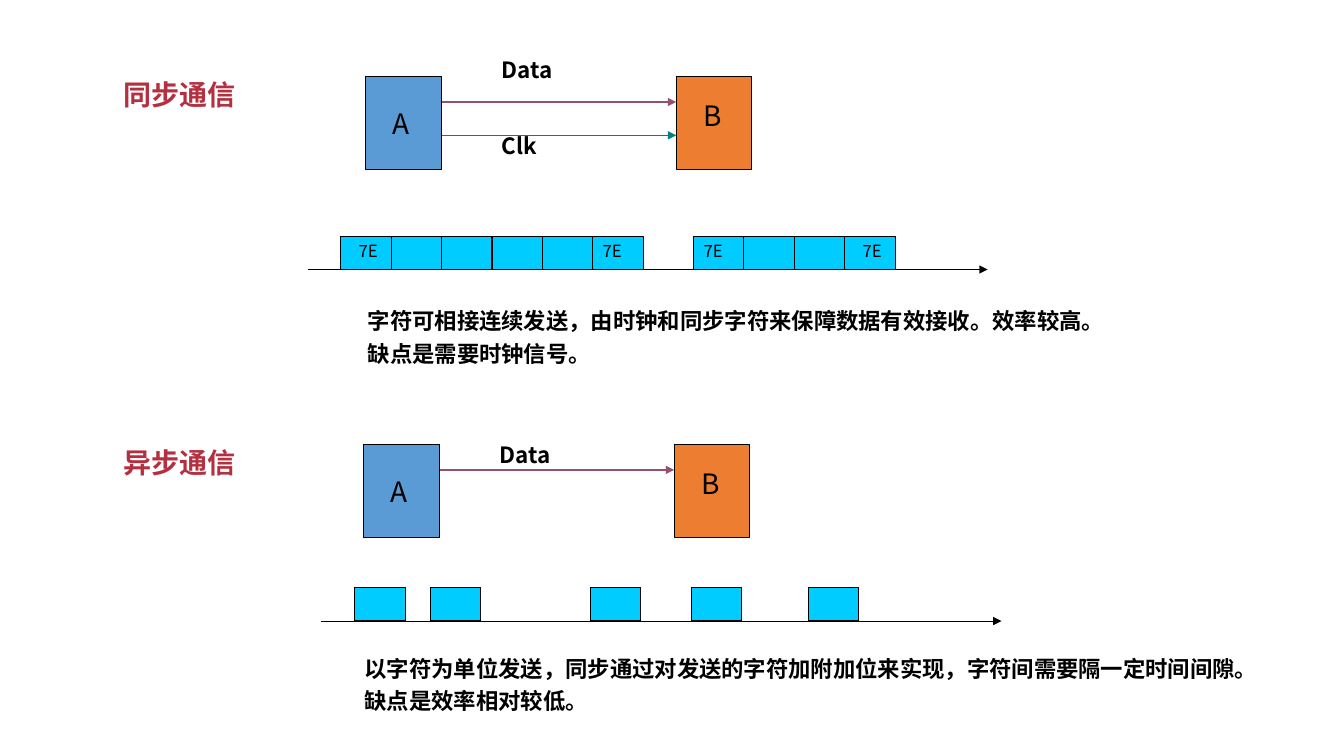
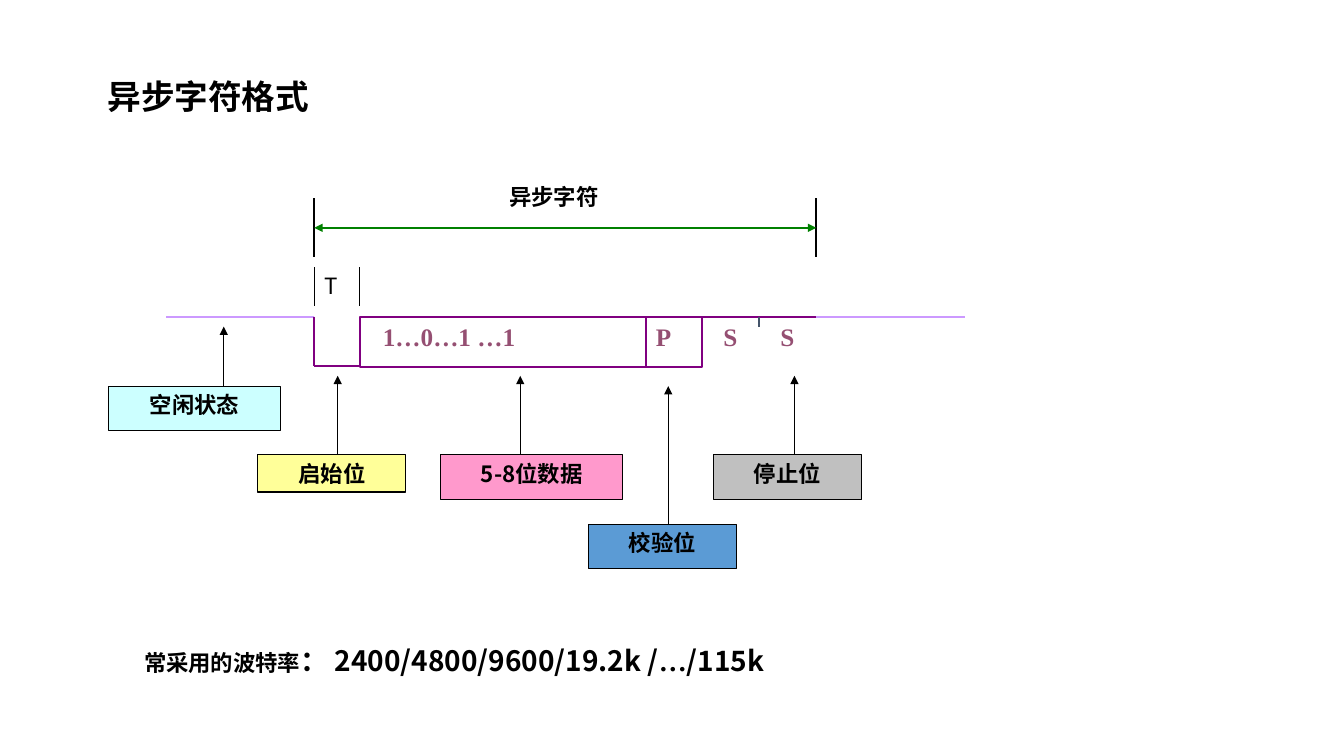
"""Builds two slides on synchronous and asynchronous communication."""
from lxml import etree
from pptx import Presentation, util as u
from pptx.dml.color import RGBColor
from pptx.enum import shapes, text
from pptx.oxml import ns

SANS = "Noto Sans CJK SC"
SERIF = "Times New Roman"
BLACK = RGBColor(0x00, 0x00, 0x00)
RED = RGBColor(0xB4, 0x30, 0x40)
BLUE = RGBColor(0x5B, 0x9B, 0xD5)
ORANGE = RGBColor(0xED, 0x7D, 0x31)
PLUM = RGBColor(0x95, 0x4F, 0x72)
TEAL = RGBColor(0x00, 0x80, 0x80)
CYAN = RGBColor(0x00, 0xCC, 0xFF)
LILAC = RGBColor(0xCC, 0x99, 0xFF)
PURPLE = RGBColor(0x80, 0x00, 0x80)
SLATE = RGBColor(0x44, 0x54, 0x6A)
GREEN = RGBColor(0x00, 0x80, 0x00)
YELLOW = RGBColor(0xFF, 0xFF, 0x99)
ICE = RGBColor(0xCC, 0xFF, 0xFF)
PINK = RGBColor(0xFF, 0x99, 0xCC)
GREY = RGBColor(0xC0, 0xC0, 0xC0)
CENTER = text.PP_ALIGN.CENTER
LEFT = text.PP_ALIGN.LEFT


def write(para, words, size=16, bold=True, color=BLACK, font=SANS):
    run = para.add_run()
    run.text = words
    run.font.size = u.Pt(size)
    run.font.bold = bold
    run.font.color.rgb = color
    run.font.name = font
    props = run.font._element
    etree.SubElement(props, ns.qn("a:ea")).set("typeface", font)


class Deck:
    def __init__(self):
        self.prs = Presentation()
        self.prs.slide_width = u.Cm(33.87)
        self.prs.slide_height = u.Cm(19.05)
        self.slide = None

    def page(self):
        self.slide = self.prs.slides.add_slide(self.prs.slide_layouts[6])

    def fill(self, frame, words, align=LEFT, inset=0.25, **form):
        frame.word_wrap = True
        frame.vertical_anchor = text.MSO_ANCHOR.TOP
        frame.margin_left = u.Cm(inset)
        for i, part in enumerate(words.split("\n")):
            para = frame.add_paragraph() if i else frame.paragraphs[0]
            para.alignment = align
            if i:
                para.space_before = u.Pt(4)
            write(para, part, **form)

    def label(self, words, x, y, w, h=1.1, **form):
        box = self.slide.shapes.add_textbox(u.Cm(x), u.Cm(y), u.Cm(w), u.Cm(h))
        self.fill(box.text_frame, words, **form)
        return box.text_frame.paragraphs[0]

    def box(self, x, y, w, h, paint=None, edge=BLACK, width=0.75,
            words="", **form):
        box = self.slide.shapes.add_shape(
            shapes.MSO_SHAPE.RECTANGLE, u.Cm(x), u.Cm(y), u.Cm(w), u.Cm(h))
        box.shadow.inherit = False
        if paint is None:
            box.fill.background()
        else:
            box.fill.solid()
            box.fill.fore_color.rgb = paint
        box.line.color.rgb = edge
        box.line.width = u.Pt(width)
        if words:
            self.fill(box.text_frame, words, **form)

    def line(self, x1, y1, x2, y2, color=BLACK, width=0.75, ends=()):
        line = self.slide.shapes.add_connector(
            shapes.MSO_CONNECTOR.STRAIGHT,
            u.Cm(x1), u.Cm(y1), u.Cm(x2), u.Cm(y2))
        line.line.color.rgb = color
        line.line.width = u.Pt(width)
        stroke = line.line._get_or_add_ln()
        for end in ends:
            etree.SubElement(stroke, ns.qn(f"a:{end}")).set("type", "triangle")
        etree.SubElement(stroke.getparent(), ns.qn("a:effectLst"))

    def arrow(self, *ends, **form):
        self.line(*ends, ends=("tailEnd",), **form)

    def link(self, title, x, y, wires):
        self.label(title, 2.87, y - 0.1, 3.6, size=20, color=RED)
        w, h, gap = 1.91, 2.34, 7.82
        nodes = [("A", 0, 0.64, BLUE), ("B", gap, 0.43, ORANGE)]
        for name, dx, dy, color in nodes:
            self.box(x + dx, y, w, h, color)
            self.label(name, x + dx + 0.43, y + dy, 1.27, size=20, bold=False)
        for name, dy, top, color, width in wires:
            self.arrow(x + w, y + dy, x + gap, y + dy, color=color, width=width)
            self.label(name, x + 3.18, y + top, 2.54)

    def stream(self, x, y, cells):
        w, h = 1.27, 0.84
        for cell in cells:
            self.box(cell, y, w, h, CYAN)
        self.arrow(x, y + h, x + 17.14, y + h)


def modes(deck):
    deck.page()
    deck.link("同步通信", 9.22, 1.93, [
        ("Data", 0.64, -0.64, PLUM, 1.5), ("Clk", 1.48, 1.28, TEAL, 1)])
    deck.stream(7.75, 5.95, [8.59 + 1.27 * i for i in range(11) if i != 6])
    for x in (8.79, 14.94, 17.48, 21.49):
        deck.label("7E", x, 5.95, 1.27, 0.76, size=12, bold=False)
    deck.label("字符可相接连续发送，由时钟和同步字符来保障数据有效接收。效率较高。\n"
               "缺点是需要时钟信号。", 9.02, 7.62, 20, 1.96)
    deck.link("异步通信", 9.17, 11.2, [("Data", 0.64, -0.2, PLUM, 1.5)])
    deck.stream(8.1, 14.81, [8.94, 10.85, 14.88, 17.42, 20.37])
    deck.label("以字符为单位发送，同步通过对发送的字符加附加位来实现，字符间需要隔一定时间间隙。\n"
               "缺点是效率相对较低。", 8.94, 16.38, 24.05, 1.96)


def frame(deck):
    deck.page()
    deck.label("异步字符格式", 2.46, 1.78, 5.92, 1.27, size=24)
    high, low = 7.98, 9.23
    start, data, check, stop, end = 7.92, 9.07, 16.28, 17.7, 20.57
    mid = (stop + end) / 2
    for x1, y1, x2, y2, color in [
            (4.19, high, start, high, LILAC),
            (start, high, start, low, PURPLE),
            (start, low, data, low, PURPLE),
            (stop, high, end, high, PURPLE),
            (mid, high, mid, high + 0.25, SLATE),
            (end, high, 24.33, high, LILAC)]:
        deck.line(x1, y1, x2, y2, color, 1.5)
    bits = dict(size=18, color=PLUM, font=SERIF)
    for words, x, right, inset in [
            ("1…0…1 …1", data, check, 0.58), ("P", check, stop, 0.25)]:
        deck.box(x, high, right - x, low - high + 0.02, None, PURPLE, 1.5,
                 words, inset=inset, **bits)
    for x in (stop, mid):
        deck.label("S", x + 0.28, high, 1.17, **bits)

    for words, x, y, w, h, color, stem, tip in [
            ("启始位", 6.5, 11.46, 3.73, 0.94, YELLOW, 8.51, 9.47),
            ("空闲状态", 2.74, 9.73, 4.32, 1.12, ICE, 5.64, 8.23),
            ("5-8位数据", 11.1, 11.46, 4.6, 1.12, PINK, 13.11, 9.47),
            ("校验位", 14.83, 13.21, 3.73, 1.12, BLUE, 16.84, 9.73),
            ("停止位", 17.98, 11.46, 3.73, 1.12, GREY, 20.02, 9.47)]:
        deck.box(x, y, w, h, color, words=words, align=CENTER)
        deck.arrow(stem, y, stem, tip)

    for x in (start, end):
        deck.line(x, 5, x, 6.48, width=1.5)
    deck.line(start, 5.74, end, 5.74, GREEN, 1.5, ("headEnd", "tailEnd"))
    deck.label("异步字符", 11.66, 4.5, 4.6, align=CENTER)
    for x in (start, data):
        deck.line(x, 6.73, x, 7.72)
    deck.label("T", start, 6.73, 1.45, bold=False)

    rates = deck.label("常采用的波特率", 3.38, 16.08, 18.85)
    for words, font in [("： 2400/4800/9600/19.2k /", SANS),
                        ("…", SERIF), ("/115k", SANS)]:
        write(rates, words, size=20, font=font)


def main():
    deck = Deck()
    modes(deck)
    frame(deck)
    deck.prs.save("out.pptx")


if __name__ == "__main__":
    main()
